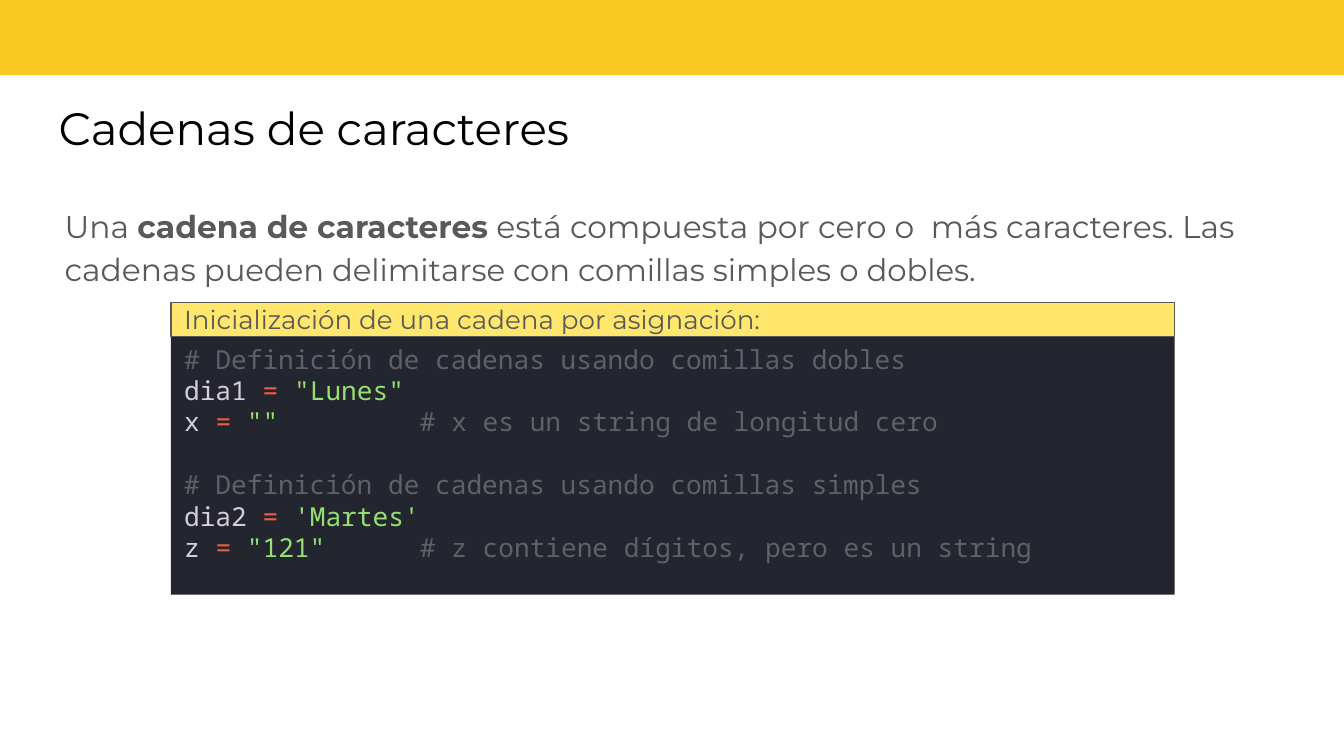
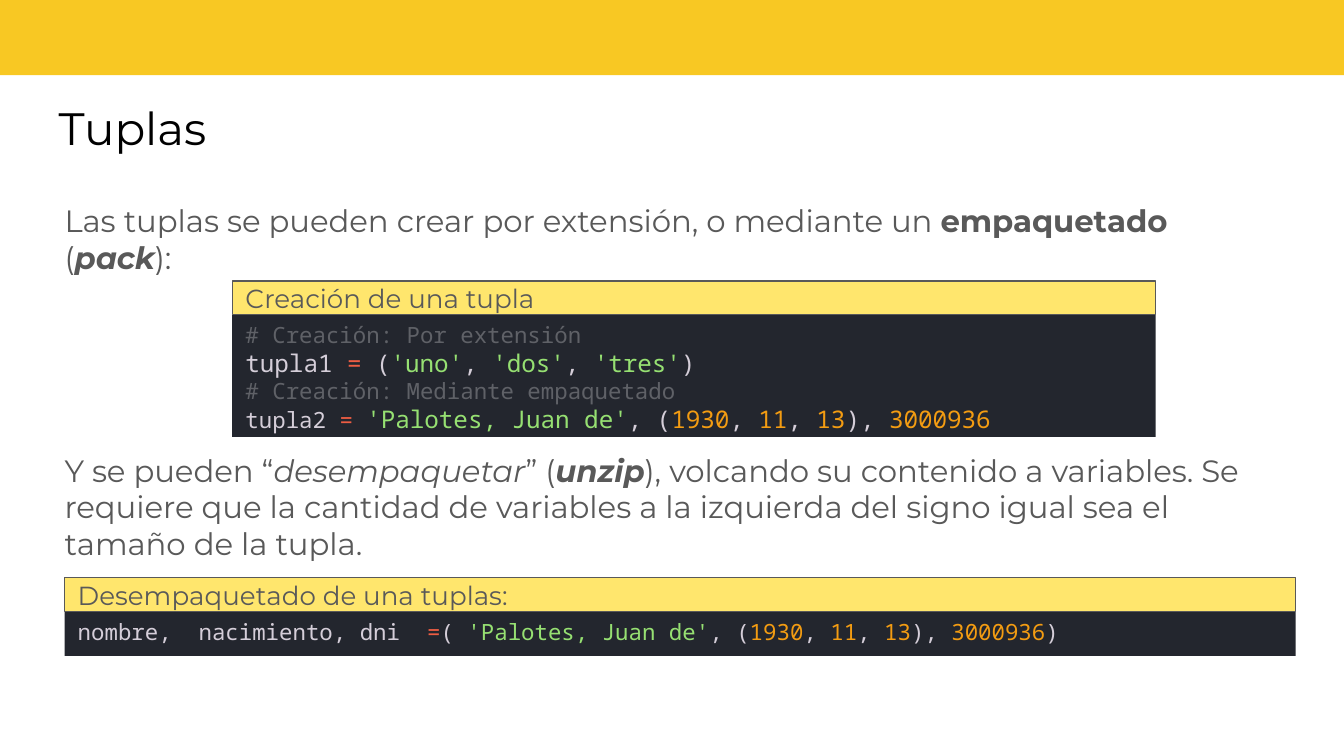
"""Build two slides on Python strings and tuples."""
from lxml.etree import SubElement
from pptx import Presentation
from pptx.dml.color import RGBColor
from pptx.enum.shapes import MSO_SHAPE
from pptx.enum.text import MSO_ANCHOR, MSO_AUTO_SIZE, PP_ALIGN
from pptx.oxml.ns import qn
from pptx.util import Cm, Pt

COLORS = {
    "band": "F8C823",
    "title": "000000",
    "text": "595959",
    "caption": "FFE66D",
    "panel": "23262E",
    "comment": "5F6167",
    "name": "D5CED9",
    "operator": "EE5D43",
    "string": "96E072",
    "number": "F39C12",
}
TEXT_FONT = "Montserrat"
CODE_FONT = "Noto Sans Mono"
CAPTION_HEIGHT = 0.64


def write_runs(paragraph, runs, font_name, default_size):
    for text, style, *size in runs:
        run = paragraph.add_run()
        run.text = text
        run.font.name = font_name
        run.font.size = Pt(size[0] if size else default_size)
        run.font.bold = "bold" in style
        run.font.italic = "italic" in style
        run.font.color.rgb = RGBColor.from_string(COLORS.get(style, COLORS["text"]))


def add_box(shapes, left, top, width, height, color):
    shape = shapes.add_shape(MSO_SHAPE.RECTANGLE, Cm(left), Cm(top), Cm(width), Cm(height))
    shape.shadow.inherit = False
    shape.fill.solid()
    shape.fill.fore_color.rgb = RGBColor.from_string(COLORS[color])
    shape.line.fill.background()
    shape.text_frame.word_wrap = True
    return shape


presentation = Presentation()
presentation.slide_width = Cm(25.4)
presentation.slide_height = Cm(14.29)
layout = presentation.slide_layouts[1]

for placeholder, place in zip(
    layout.placeholders, [(0.86, 1.65, 23.62, 1.6), (1.22, 3.56, 22.99, 9.09)]
):
    placeholder.left, placeholder.top, placeholder.width, placeholder.height = map(Cm, place)

topics = [
    ("Cadenas de caracteres", 16.8, 1.15, [
        ("Una ", "text"),
        ("cadena de caracteres", "bold"),
        (" está compuesta por cero o  más caracteres. Las cadenas", "text"),
        (" pueden delimitarse con comillas simples o dobles.", "text", 16.5),
    ]),
    ("Tuplas", 16.5, 1.0, [
        ("Las tuplas se pueden crear por extensión, o mediante un ", "text"),
        ("empaquetado ", "bold"),
        ("(", "text"),
        ("pack", "bold italic"),
        ("):", "text"),
    ]),
]

slides = []
for title, size, line_spacing, runs in topics:
    slide = presentation.slides.add_slide(layout)
    slides.append(slide)

    title_frame = slide.shapes.title.text_frame
    title_frame.vertical_anchor = MSO_ANCHOR.TOP
    title_frame.auto_size = MSO_AUTO_SIZE.NONE
    title_frame.margin_left = title_frame.margin_right = Cm(0.25)
    title_frame.margin_top = title_frame.margin_bottom = Cm(0.25)
    title_frame.paragraphs[0].alignment = PP_ALIGN.LEFT
    write_runs(title_frame.paragraphs[0], [(title, "title")], TEXT_FONT, 24.3)

    body_frame = slide.placeholders[1].text_frame
    body_frame.auto_size = MSO_AUTO_SIZE.NONE
    body_frame.margin_left = body_frame.margin_right = 0
    body_frame.margin_top = body_frame.margin_bottom = Cm(0.25)
    paragraph = body_frame.paragraphs[0]
    properties = paragraph._p.get_or_add_pPr()
    properties.set("marL", "0")
    properties.set("indent", "0")
    SubElement(properties, qn("a:buNone"))
    paragraph.space_before = Pt(0)
    paragraph.line_spacing = line_spacing
    write_runs(paragraph, runs, TEXT_FONT, size)

strings_slide, tuples_slide = slides

band = add_box(strings_slide.shapes, -0.03, -0.13, 25.47, 1.55, "band")
band.element.nvSpPr.cNvPr.set("id", "20")
layout.shapes.element.insert(2, band.element)

unpacking = tuples_slide.shapes.add_textbox(Cm(1.22), Cm(8.28), Cm(22.99), Cm(2.54))
unpacking_frame = unpacking.text_frame
unpacking_frame.word_wrap = True
unpacking_frame.margin_left = unpacking_frame.margin_right = 0
unpacking_frame.margin_top = unpacking_frame.margin_bottom = Cm(0.25)
write_runs(unpacking_frame.paragraphs[0], [
    ("Y se pueden “", "text"),
    ("desempaquetar", "italic"),
    ("” (", "text"),
    ("unzip", "bold italic"),
    ("), volcando su contenido a variables. Se requiere que la cantidad de variables "
     "a la izquierda del signo igual sea el tamaño de la tupla.", "text"),
], TEXT_FONT, 16.5)

person = [
    ("'Palotes, Juan de'", "string"),
    (", (", "name"),
    ("1930", "number"),
    (", ", "name"),
    ("11", "number"),
    (", ", "name"),
    ("13", "number"),
    ("), ", "name"),
    ("3000936", "number"),
]

string_lines = [
    (14, 0, [("# Definición de cadenas usando comillas dobles", "comment")]),
    (14, 0, [("dia1 ", "name"), ("= ", "operator"), ('"Lunes"', "string")]),
    (14, 0, [("x ", "name"), ("= ", "operator"), ('""', "string"),
             ("         ", "name"), ("# x es un string de longitud cero", "comment")]),
    (14, 16.8, [("# Definición de cadenas usando comillas simples", "comment")]),
    (14, 0, [("dia2 ", "name"), ("= ", "operator"), ("'Martes'", "string")]),
    (14, 0, [("z ", "name"), ("= ", "operator"), ('"121"', "string"),
             ("      ", "name"), ("# z contiene dígitos, pero es un string", "comment")]),
]
packing_lines = [
    (12, 0, [("# Creación: Por extensión", "comment")]),
    (13, 0, [("tupla1 ", "name"), ("=", "operator"), (" (", "name"), ("'uno'", "string"),
             (", ", "name"), ("'dos'", "string"), (", ", "name"), ("'tres'", "string"),
             (")", "name")]),
    (12, 0, [("# Creación: Mediante empaquetado", "comment")]),
    (13, 0, [("tupla2 ", "name", 12), ("= ", "operator", 12), *person]),
]
unpacking_lines = [
    (12, 0, [("nombre,  nacimiento, dni  ", "name"), ("=", "operator"), ("( ", "name"),
             *person, (")", "name")]),
]

panels = [
    (strings_slide, 3.23, 5.72, 18.97, 4.88,
     "Inicialización de una cadena por asignación:", string_lines),
    (tuples_slide, 1.22, 10.92, 23.27, 0.84,
     "Desempaquetado de una tuplas:", unpacking_lines),
    (tuples_slide, 4.39, 5.31, 17.45, 2.31, "Creación de una tupla", packing_lines),
]

for slide, left, top, width, height, caption_text, lines in panels:
    panel = add_box(slide.shapes, left, top + CAPTION_HEIGHT, width, height, "panel")
    panel_frame = panel.text_frame
    panel_frame.vertical_anchor = MSO_ANCHOR.TOP
    for index, (size, space_before, runs) in enumerate(lines):
        paragraph = panel_frame.add_paragraph() if index else panel_frame.paragraphs[0]
        paragraph.alignment = PP_ALIGN.LEFT
        paragraph.space_before = Pt(space_before)
        write_runs(paragraph, runs, CODE_FONT, size)

    caption = add_box(slide.shapes, left, top, width, CAPTION_HEIGHT, "caption")
    caption.line.color.rgb = RGBColor.from_string(COLORS["text"])
    caption.line.width = Pt(0.75)
    caption.text_frame.vertical_anchor = MSO_ANCHOR.MIDDLE
    paragraph = caption.text_frame.paragraphs[0]
    paragraph.alignment = PP_ALIGN.LEFT
    write_runs(paragraph, [(caption_text, "text")], TEXT_FONT, 14)

presentation.save("out.pptx")
